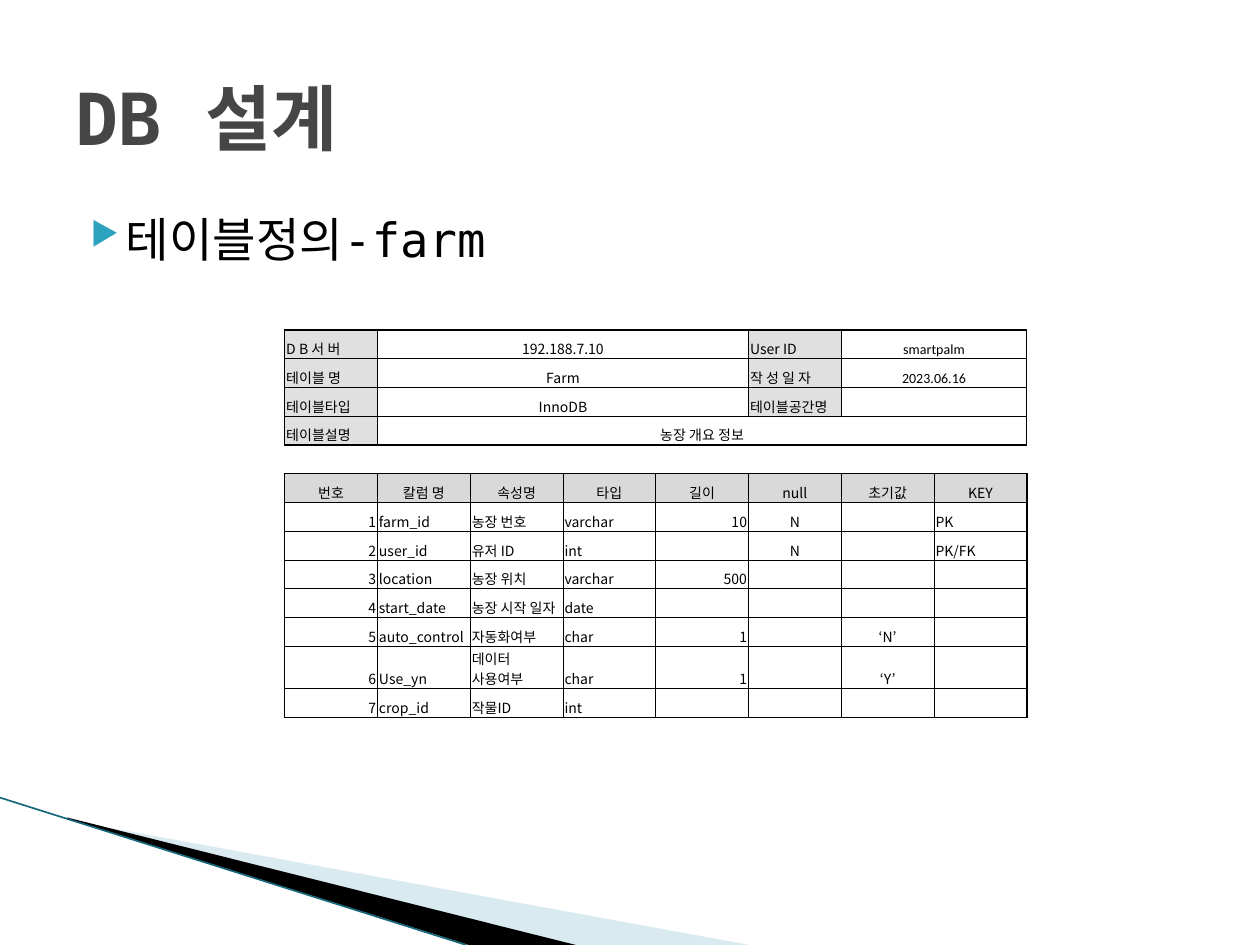
"""Builds the database design slide with the definition of the farm table."""
from lxml import etree
from pptx import Presentation
from pptx import util as u
from pptx.dml.color import RGBColor
from pptx.enum import shapes, text
from pptx.oxml import ns

TITLE = "DB 설계"
CAPTION = "테이블정의-farm"
SUMMARY = [
    ["D B 서 버", "192.188.7.10", "User ID", "smartpalm"],
    ["테이블 명", "Farm", "작 성 일 자", "2023.06.16"],
    ["테이블타입", "InnoDB", "테이블공간명", ""],
]
DESCRIPTION = ["테이블설명", "농장 개요 정보"]
HEADINGS = ["번호", "칼럼 명", "속성명", "타입", "길이", "null", "초기값", "KEY"]
FIELDS = [
    ["1", "farm_id", "농장 번호", "varchar", "10", "N", "", "PK"],
    ["2", "user_id", "유저 ID", "int", "", "N", "", "PK/FK"],
    ["3", "location", "농장 위치", "varchar", "500", "", "", ""],
    ["4", "start_date", "농장 시작 일자", "date", "", "", "", ""],
    ["5", "auto_control", "자동화여부", "char", "1", "", "‘N’", ""],
    ["6", "Use_yn", "데이터 사용여부", "char", "1", "", "‘Y’", ""],
    ["7", "crop_id", "작물ID", "int", "", "", "", ""],
]
FIELD_ALIGN = "rlllrccl"
CALIBRI_TEXTS = {"smartpalm", "2023.06.16", "자동화여부"}
COLORS = {"ink": "000000", "title": "464646", "bullet": "2DA2BF", "label": "E0E0E0",
          "heading": "D9D9D9", "wave": "A0CBDC", "edge": "16697A"}
MONO, SANS = "DejaVu Sans Mono", "Noto Sans CJK KR"
ALIGN = {"l": text.PP_ALIGN.LEFT, "c": text.PP_ALIGN.CENTER, "r": text.PP_ALIGN.RIGHT}
WAVES = [
    ("wave", 40, [(1.4, 16.54), (15.11, 19.05), (11.58, 19.05), (1.4, 16.51)]),
    ("ink", 100, [(1.35, 16.48), (11.61, 19.05), (9.45, 19.05), (1.37, 16.51)]),
]
COLUMN_WIDTH, ROW_HEIGHT, TALL_ROW, TALL_HEIGHT = 1.87, 0.58, 11, 0.85
SPACER = len(SUMMARY) + 1
HEADING_ROW = SPACER + 1
ROW_COUNT = HEADING_ROW + 1 + len(FIELDS)


def color(name):
    return RGBColor.from_string(COLORS[name])


def add_xml(parent, tag, **attributes):
    return etree.SubElement(parent, ns.qn(tag), attributes)


def apply(target, values):
    for name, value in values.items():
        setattr(target, name, value)


def write(para, words, size, tone, latin, asian, bold=False):
    span = para.add_run()
    span.text = words
    span.font.color.rgb = color(tone)
    apply(span.font, {"size": u.Pt(size), "bold": bold, "name": latin})
    add_xml(span._r.get_or_add_rPr(), "a:ea", typeface=asian)


def add_box(page, place, words, size, tone, bold, anchor):
    box = page.shapes.add_textbox(*map(u.Cm, place))
    apply(box.text_frame, {"word_wrap": True, "vertical_anchor": anchor})
    para = box.text_frame.paragraphs[0]
    write(para, words, size, tone, MONO, MONO, bold)
    return para


def add_bullet(para):
    para.space_before = u.Pt(4)
    props = para._p.get_or_add_pPr()
    props.set("marL", str(u.Cm(1.02)))
    props.set("indent", str(u.Cm(-0.71)))
    add_xml(add_xml(props, "a:buClr"), "a:srgbClr", val=COLORS["bullet"])
    add_xml(props, "a:buSzPct", val="68000")
    add_xml(props, "a:buChar", char="▶")


def add_waves(page):
    for tone, opacity, points in WAVES:
        start, *rest = [(u.Cm(x), u.Cm(y)) for x, y in points]
        builder = page.shapes.build_freeform(*start)
        builder.add_line_segments(rest, close=True)
        wave = builder.convert_to_shape()
        wave.shadow.inherit = False
        wave.line.fill.background()
        wave.fill.solid()
        wave.fill.fore_color.rgb = color(tone)
        if opacity < 100:
            tint = wave._element.spPr.find(".//" + ns.qn("a:srgbClr"))
            add_xml(tint, "a:alpha", val=str(opacity * 1000))
    edge = page.shapes.add_connector(shapes.MSO_CONNECTOR.STRAIGHT, u.Cm(0), u.Cm(16.08),
                                     u.Cm(9.4), u.Cm(19.05))
    edge.line.width = u.Pt(0.95)
    edge.line.color.rgb = color("edge")
    add_xml(edge._element.spPr, "a:effectLst")


def border_widths(row, column):
    thick_above = (0, SPACER, HEADING_ROW)
    thick_below = (SPACER - 1, SPACER, ROW_COUNT - 1)
    spacer = row == SPACER
    return {
        "a:lnL": 0 if spacer else 1 if column == 0 else 0.5,
        "a:lnR": 0 if spacer else 1 if column == len(HEADINGS) - 1 else 0.5,
        "a:lnT": 1 if row in thick_above else 0.5,
        "a:lnB": 1 if row in thick_below else 0.5,
    }


def draw_borders(cell, row, column):
    props = cell._tc.get_or_add_tcPr()
    for tag, width in border_widths(row, column).items():
        line = add_xml(props, tag, w=str(u.Pt(width)))
        if width:
            add_xml(add_xml(line, "a:solidFill"), "a:srgbClr", val=COLORS["ink"])
        else:
            add_xml(line, "a:noFill")


def fill_cell(cell, words, align, tone=None):
    apply(cell, {"margin_left": u.Cm(0.03), "margin_right": u.Cm(0.03), "margin_top": u.Cm(0.03),
                 "margin_bottom": 0, "vertical_anchor": text.MSO_ANCHOR.BOTTOM})
    if tone:
        cell.fill.solid()
        cell.fill.fore_color.rgb = color(tone)
    else:
        cell.fill.background()
    para = cell.text_frame.paragraphs[0]
    para.alignment = ALIGN[align]
    if words:
        write(para, words, 8, "ink", "Calibri" if words in CALIBRI_TEXTS else SANS, SANS)
    else:
        add_xml(para._p, "a:endParaRPr", sz="800")


def cell_contents():
    contents = {}
    for row, values in enumerate(SUMMARY + [DESCRIPTION]):
        for index, words in enumerate(values):
            style = ("l", "label") if index % 2 == 0 else ("c", None)
            contents[row, (0, 1, 5, 6)[index]] = (words, *style)
    for column, words in enumerate(HEADINGS):
        contents[HEADING_ROW, column] = (words, "c", "heading")
    for row, values in enumerate(FIELDS, HEADING_ROW + 1):
        for column, words in enumerate(values):
            contents[row, column] = (words, FIELD_ALIGN[column])
    return contents


def add_definition(page):
    columns = len(HEADINGS)
    frame = page.shapes.add_table(ROW_COUNT, columns, u.Cm(5.74), u.Cm(6.65),
                                  u.Cm(COLUMN_WIDTH * columns), u.Cm(ROW_HEIGHT * ROW_COUNT))
    table = frame.table
    apply(table, {"first_row": False, "horz_banding": False})
    for column in table.columns:
        column.width = u.Cm(COLUMN_WIDTH)
    for index, row in enumerate(table.rows):
        row.height = u.Cm(TALL_HEIGHT if index == TALL_ROW else ROW_HEIGHT)
    contents = cell_contents()
    for row in range(ROW_COUNT):
        for column in range(columns):
            cell = table.cell(row, column)
            draw_borders(cell, row, column)
            fill_cell(cell, *contents.get((row, column), ("", "l")))
    merges = [(row, *ends) for row in range(len(SUMMARY)) for ends in ((1, 4), (6, 7))]
    for row, first, last in merges + [(len(SUMMARY), 1, 7)]:
        table.cell(row, first).merge(table.cell(row, last))


def main():
    deck = Presentation()
    apply(deck, {"slide_width": u.Cm(25.4), "slide_height": u.Cm(19.05)})
    page = deck.slides.add_slide(deck.slide_layouts[6])
    add_waves(page)
    add_bullet(add_box(page, (1.27, 4.11, 22.86, 1.42), CAPTION, 27, "ink", False,
                       text.MSO_ANCHOR.TOP))
    add_box(page, (1.27, 0.76, 22.86, 3.18), TITLE, 41, "title", True, text.MSO_ANCHOR.MIDDLE)
    add_definition(page)
    deck.save("out.pptx")


if __name__ == "__main__":
    main()
